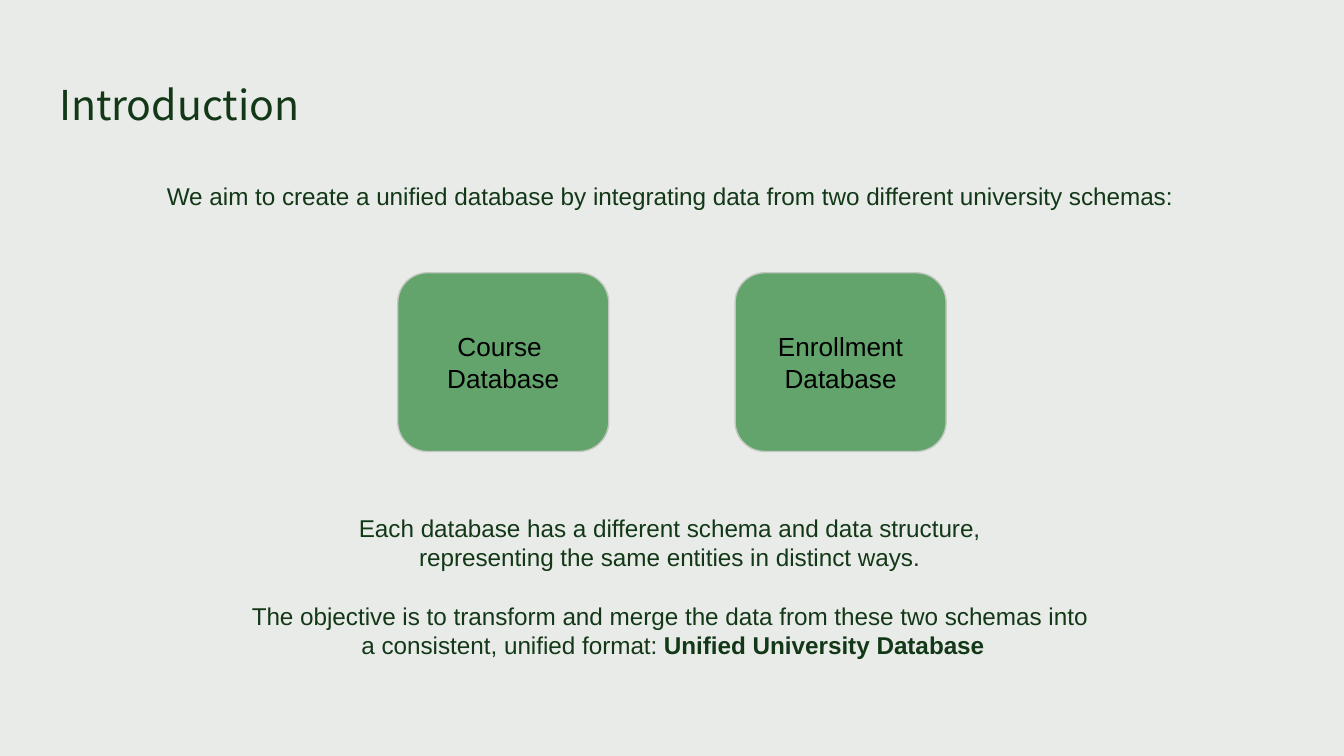
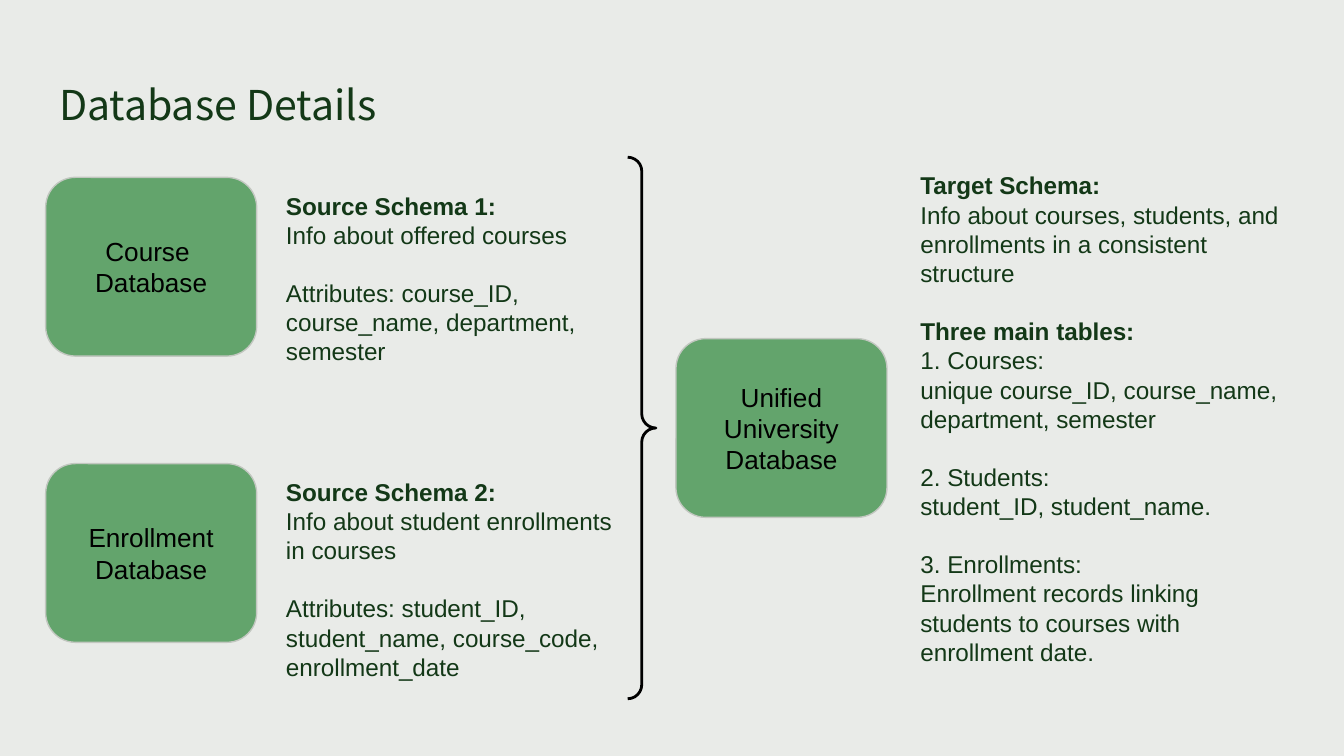
"""Builds two slides on merging two university databases into one."""
from pptx import Presentation
from pptx.dml.color import RGBColor
from pptx.enum.shapes import MSO_SHAPE as Shape
from pptx.enum.text import MSO_ANCHOR as Anchor, MSO_AUTO_SIZE as AutoSize, PP_ALIGN as Align
from pptx.util import Inches, Pt

WIDTH = 10
HEIGHT = WIDTH * 9 / 16
MARGIN = 0.34
CARD_W, CARD_H = 1.57, 1.33
PAPER, INK, GREEN, EDGE, BLACK = "E9EBE8", "133817", "63A46C", "C2C7C0", "000000"
TITLE_FONT, BODY_FONT = "Noto Sans CJK KR", "Arial"
BLANK_LINE = 15.6

COURSE, ENROLLMENT = "Course \nDatabase", "Enrollment\nDatabase"
UNIFIED = "Unified\nUniversity\nDatabase"

SLIDES = [
    {
        "title": "Introduction",
        "texts": [
            ((1.07, 1.25, 7.87, 0.42), Align.CENTER,
             "We aim to create a unified database by integrating data "
             "from two different university schemas: "),
            ((1.07, 3.72, 7.87, 1.33), Align.CENTER,
             "Each database has a different schema and data structure, \n"
             "representing the same entities in distinct ways. \n\n"
             "The objective is to transform and merge the data from these two schemas into \n"
             "a consistent, unified format: *Unified University Database*"),
        ],
        "cards": [(2.96, 2.03, COURSE), (WIDTH - 2.96 - CARD_W, 2.03, ENROLLMENT)],
        "braces": [],
    },
    {
        "title": "Database Details",
        "texts": [
            ((2.03, 1.32, 2.64, 1.76), Align.LEFT,
             "*Source Schema 1: *\nInfo about offered courses\n\n"
             "Attributes: course_ID, course_name, department, semester"),
            ((2.03, 3.45, 2.64, 1.76), Align.LEFT,
             "*Source Schema 2: *\nInfo about student enrollments in courses\n\n"
             "Attributes: student_ID, student_name, course_code, enrollment_date"),
            ((6.75, 1.17, 2.91, 4.08), Align.LEFT,
             "*Target Schema:*\n"
             "Info about courses, students, and enrollments in a consistent structure\n\n"
             "*Three main tables:*\n1. Courses: \n"
             "unique course_ID, course_name, department, semester\n\n"
             "2. Students: \nstudent_ID, student_name.\n\n"
             "3. Enrollments: \n"
             "Enrollment records linking students to courses with enrollment date."),
        ],
        "cards": [(MARGIN, 1.32, COURSE), (MARGIN, 3.45, ENROLLMENT), (5.03, 2.52, UNIFIED)],
        "braces": [(4.67, 1.17, 0.21, 4.03)],
    },
]


def color(value):
    return RGBColor.from_string(value)


def inches(*lengths):
    return [Inches(length) for length in lengths]


def write(box, text, size=13, font=BODY_FONT, ink=INK, align=Align.LEFT, anchor=Anchor.TOP):
    """Write lines, with a gap between groups and bold between asterisks."""
    frame = box.text_frame
    frame.word_wrap = True
    frame.auto_size = AutoSize.NONE
    frame.vertical_anchor = anchor
    frame.margin_left = frame.margin_top = frame.margin_right = frame.margin_bottom = Inches(0.1)
    para = None
    for group_index, group in enumerate(text.split("\n\n")):
        for line_index, line in enumerate(group.split("\n")):
            para = frame.add_paragraph() if para is not None else frame.paragraphs[0]
            para.alignment = align
            starts_group = group_index > 0 and line_index == 0
            para.space_before = Pt(BLANK_LINE if starts_group else 0)
            for part_index, part in enumerate(line.split("*")):
                if part:
                    span = para.add_run()
                    span.text = part
                    span.font.size = Pt(size)
                    span.font.name = font
                    span.font.bold = part_index % 2 == 1
                    span.font.color.rgb = color(ink)


def add_outlined(page, kind, place, line, weight, adjustments):
    shape = page.shapes.add_shape(kind, *inches(*place))
    shape.shadow.inherit = False
    shape.line.color.rgb = color(line)
    shape.line.width = Pt(weight)
    for index, value in enumerate(adjustments):
        shape.adjustments[index] = value
    return shape


def add_card(page, left, top, label):
    card = add_outlined(page, Shape.ROUNDED_RECTANGLE, (left, top, CARD_W, CARD_H),
                        EDGE, 0.75, [1 / 6])
    card.fill.solid()
    card.fill.fore_color.rgb = color(GREEN)
    write(card, label, size=14, ink=BLACK, align=Align.CENTER, anchor=Anchor.MIDDLE)


def add_page(deck, content):
    page = deck.slides.add_slide(deck.slide_layouts[5])
    title = page.shapes.title
    title.left, title.top, title.width, title.height = inches(
        MARGIN, 0.49, WIDTH - 2 * MARGIN, 0.63)
    write(title, content["title"], size=22, font=TITLE_FONT)
    for place, align, text in content["texts"]:
        write(page.shapes.add_textbox(*inches(*place)), text, align=align)
    for left, top, label in content["cards"]:
        add_card(page, left, top, label)
    for place in content["braces"]:
        brace = add_outlined(page, Shape.RIGHT_BRACE, place, BLACK, 1.5, [0.5, 0.5])
        brace.fill.background()


def main():
    deck = Presentation()
    deck.slide_width, deck.slide_height = inches(WIDTH, HEIGHT)
    paper = deck.slide_master.background.fill
    paper.solid()
    paper.fore_color.rgb = color(PAPER)
    for content in SLIDES:
        add_page(deck, content)
    deck.save("out.pptx")


if __name__ == "__main__":
    main()
